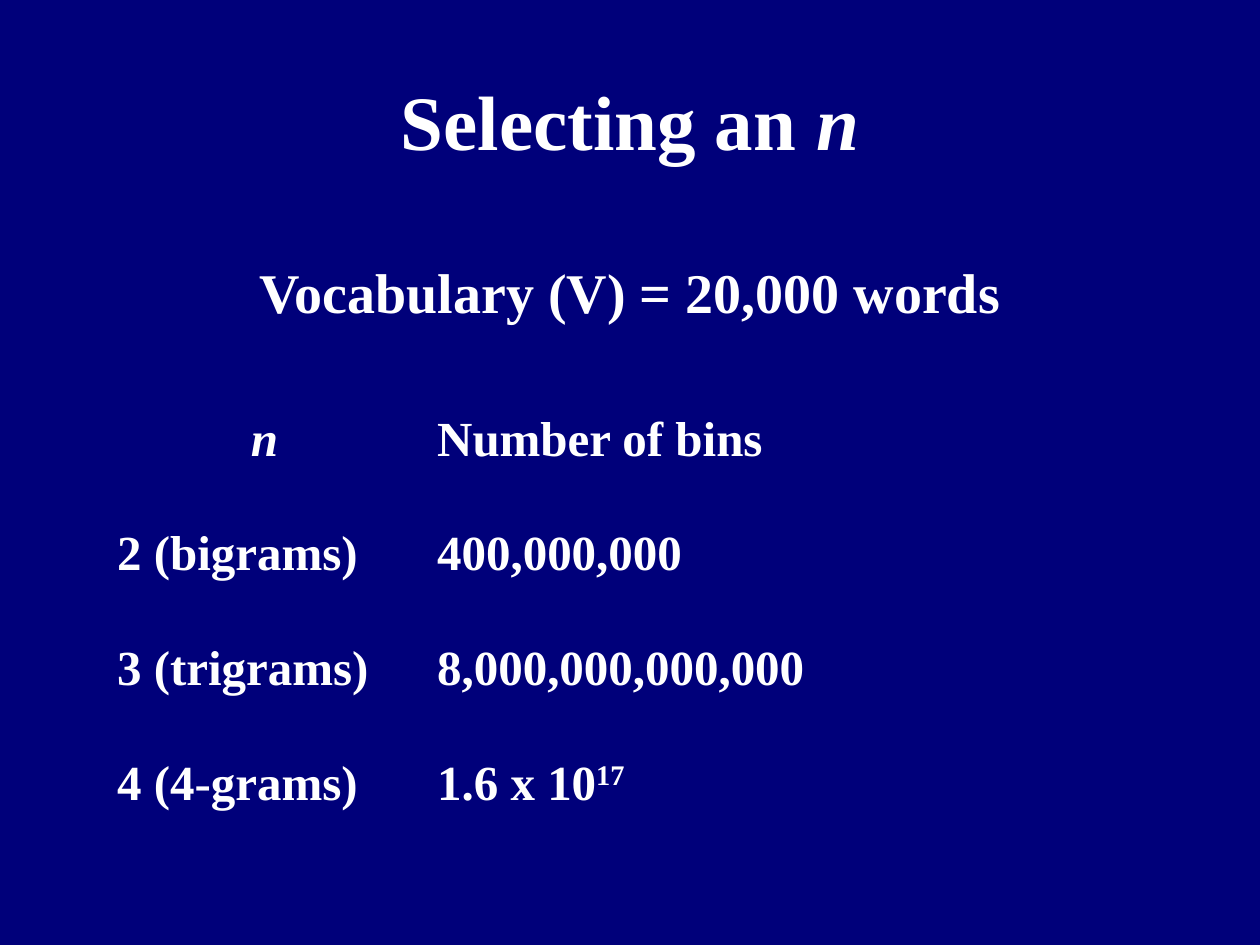
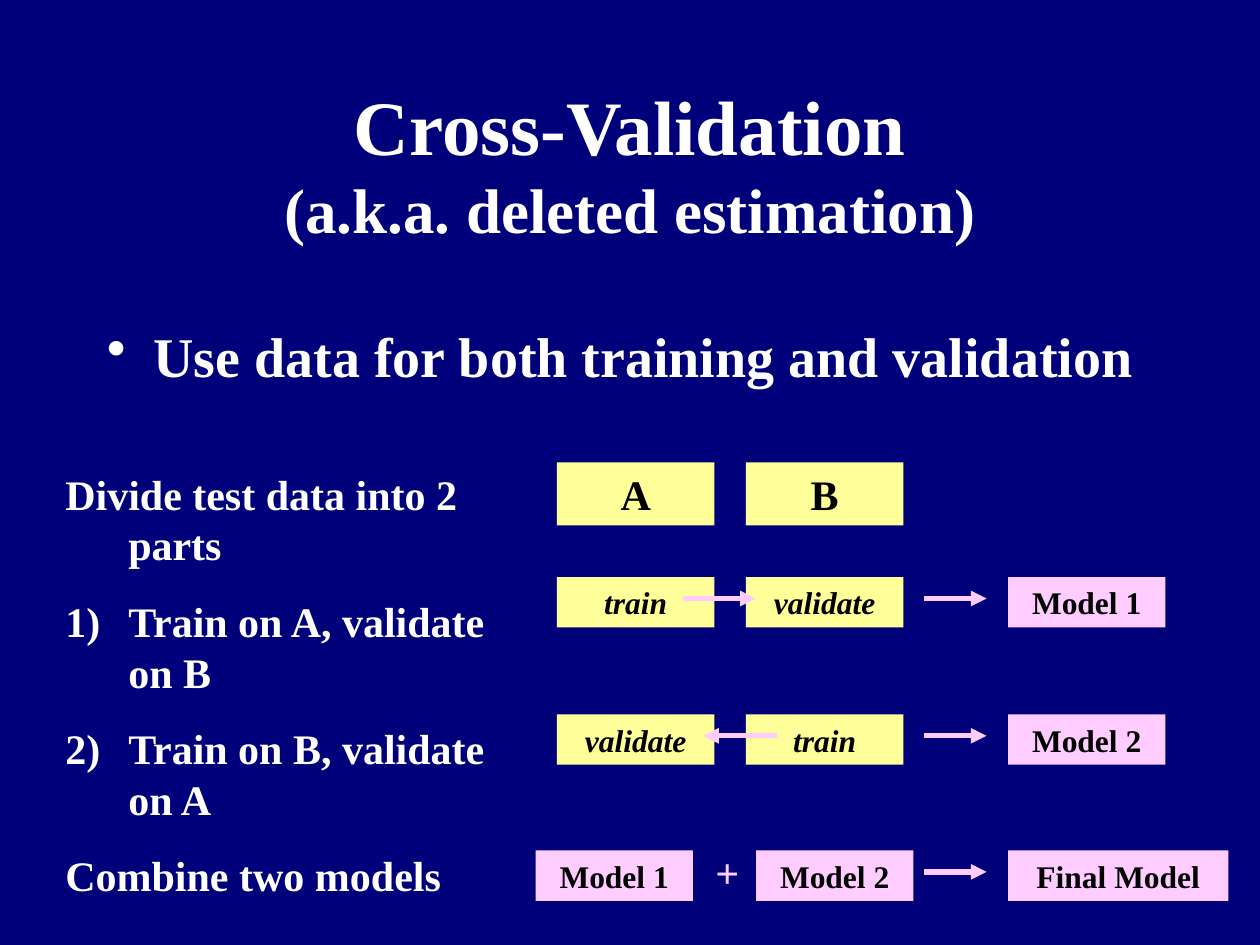
import pptx
import pptx.dml.color
import pptx.enum.shapes
import pptx.enum.text
import pptx.oxml
import pptx.oxml.ns
import pptx.util

Inches = pptx.util.Inches
Pt = pptx.util.Pt
CENTER = pptx.enum.text.PP_ALIGN.CENTER
MIDDLE = pptx.enum.text.MSO_ANCHOR.MIDDLE
RECTANGLE = pptx.enum.shapes.MSO_SHAPE.RECTANGLE
STRAIGHT = pptx.enum.shapes.MSO_CONNECTOR.STRAIGHT

theme = {
    "font": "Times New Roman",
    "navy": "00007A", "white": "FFFFFF", "black": "000000",
    "yellow": "FFFF99", "pink": "FFCCFF",
    "title": 44, "subtitle": 36, "lead": 32, "cell": 28, "text": 24, "label": 18,
}


def write_text(frame, paragraphs, size, color="white"):
    """Fill a frame; each paragraph is (spans, format), each span (text, format)."""
    frame.word_wrap = True
    for index, (spans, paragraph_format) in enumerate(paragraphs):
        para = frame.add_paragraph() if index else frame.paragraphs[0]
        for name, value in paragraph_format.items():
            setattr(para, name, value)
        for text, span_format in spans:
            span = para.add_run()
            span.text = text
            font_format = {"name": theme["font"], "size": Pt(theme[size]), "bold": True}
            for name, value in (font_format | span_format).items():
                setattr(span.font, name, value)
            span.font.color.rgb = pptx.dml.color.RGBColor.from_string(theme[color])


def hang_paragraph(para, indent, bullet=None):
    """Give a paragraph a hanging indent and, if wanted, a bullet element."""
    properties = para._p.get_or_add_pPr()
    properties.set("marL", str(Inches(indent)))
    properties.set("indent", str(-Inches(indent)))
    if bullet:
        namespace = pptx.oxml.ns.nsdecls("a")
        properties.append(pptx.oxml.parse_xml(
            f'<a:buClr {namespace}><a:srgbClr val="{theme["white"]}"/></a:buClr>'))
        properties.append(pptx.oxml.parse_xml(bullet.format(namespace)))


deck = pptx.Presentation()
deck.slide_width, deck.slide_height = Inches(10), Inches(7.5)

# Pages with their background and title
titles = [
    (0.53, 2.1, [
        ([("Selecting an ", {}), ("n", {"italic": True})], {"alignment": CENTER}),
        ([("Vocabulary (V) = 20,000 words", {"size": Pt(theme["lead"])})],
         {"alignment": CENTER, "space_before": Pt(52)}),
    ]),
    (0.57, 1.44, [
        ([("Cross-Validation", {})], {"alignment": CENTER}),
        ([("(a.k.a. deleted estimation)", {"size": Pt(theme["subtitle"])})],
         {"alignment": CENTER}),
    ]),
]
pages = []
for top, height, paragraphs in titles:
    page = deck.slides.add_slide(deck.slide_layouts[6])
    page.background.fill.solid()
    page.background.fill.fore_color.rgb = pptx.dml.color.RGBColor.from_string(theme["navy"])
    box = page.shapes.add_textbox(Inches(0.75), Inches(top), Inches(8.5), Inches(height))
    box.text_frame.vertical_anchor = MIDDLE
    write_text(box.text_frame, paragraphs, "title")
    pages.append(page)
bins_page, validation_page = pages

# Table of bins, without style or grid
bins = [
    ("n", "Number of bins"),
    ("2 (bigrams)", "400,000,000"),
    ("3 (trigrams)", "8,000,000,000,000"),
    ("4 (4-grams)", "1.6 x 10"),
]
table = bins_page.shapes.add_table(
    len(bins), 2, Inches(0.83), Inches(3.25), Inches(8.41), Inches(3.64)).table
table.first_row = table.horz_banding = False
style = table._tbl.tblPr.find(pptx.oxml.ns.qn("a:tableStyleId"))
style.text = "{2D5ABB26-0587-4C30-8999-92F81FD0307C}"
for column, width in zip(table.columns, (2.54, 5.87)):
    column.width = Inches(width)
for row, texts in enumerate(bins):
    for column, text in enumerate(texts):
        cell = table.cell(row, column)
        cell.fill.background()
        cell_format = {"line_spacing": 0.93, "space_before": Pt(7)}
        if text == "n":
            cell_format["alignment"] = CENTER
        write_text(cell.text_frame, [([(text, {"italic": text == "n"})], cell_format)], "cell")
exponent_cell = table.cell(3, 1)
exponent = exponent_cell.text_frame.paragraphs[0].add_run()
exponent.text = "17"
for name, value in {"name": theme["font"], "size": Pt(theme["cell"]), "bold": True}.items():
    setattr(exponent.font, name, value)
exponent.font.color.rgb = pptx.dml.color.RGBColor.from_string(theme["white"])
exponent.font._element.set("baseline", "30000")

# Lead bullet
box = validation_page.shapes.add_textbox(Inches(0.75), Inches(2.5), Inches(8.5), Inches(0.75))
write_text(box.text_frame, [
    ([("Use data for both training and validation", {})], {"space_before": Pt(8)})], "lead")
hang_paragraph(box.text_frame.paragraphs[0], 0.37, '<a:buChar {} char="•"/>')

# Steps on the left
number = '<a:buAutoNum {} type="arabicParenR"/>'
steps = [
    ("Divide test data into 2 parts", None),
    ("Train on A, validate on B", number),
    ("Train on B, validate on A", number),
    ("Combine two models", None),
]
box = validation_page.shapes.add_textbox(Inches(0.42), Inches(3.67), Inches(3.67), Inches(3.53))
write_text(box.text_frame, [
    ([(text, {})], {"space_before": Pt(15)}) for text, bullet in steps], "text")
for para, (text, bullet) in zip(box.text_frame.paragraphs, steps):
    hang_paragraph(para, 0.5, bullet)

# Data parts and models: text, left, top, width, height, fill, size, italic
part_lefts = (4.42, 5.92)
row_tops = (4.58, 5.67, 6.75)
blocks = [(text, left, 3.67, 1.25, 0.5, "yellow", "text", False)
          for text, left in zip("AB", part_lefts)]
for top, roles in zip(row_tops, (("train", "validate"), ("validate", "train"))):
    blocks += [(text, left, top, 1.25, 0.4, "yellow", "label", True)
               for text, left in zip(roles, part_lefts)]
blocks += [(text, left, top, width, 0.4, "pink", "label", False)
           for text, left, top, width in (
               ("Model 1", 8, row_tops[0], 1.25),
               ("Model 2", 8, row_tops[1], 1.25),
               ("Model 1", 4.25, row_tops[2], 1.25),
               ("Model 2", 6, row_tops[2], 1.25),
               ("Final Model", 8, row_tops[2], 1.75))]
for text, left, top, width, height, fill, size, italic in blocks:
    block = validation_page.shapes.add_shape(
        RECTANGLE, Inches(left), Inches(top), Inches(width), Inches(height))
    block.shadow.inherit = False
    block.fill.solid()
    block.fill.fore_color.rgb = pptx.dml.color.RGBColor.from_string(theme[fill])
    block.line.fill.background()
    block.text_frame.vertical_anchor = pptx.enum.text.MSO_ANCHOR.TOP
    write_text(block.text_frame, [([(text, {"italic": italic})], {"alignment": CENTER})],
               size, "black")

# Plus sign between the two models
box = validation_page.shapes.add_textbox(Inches(5.58), Inches(6.67), Inches(0.5), Inches(0.5))
write_text(box.text_frame, [([("+", {})], {})], "text", "pink")

# Arrows: start, end, height on the page
arrows = [(5.42, 6, 4.75), (6.17, 5.58, 5.84)]
arrows += [(7.33, 7.83, y) for y in (4.75, 5.84, 6.92)]
for start, end, y in arrows:
    arrow = validation_page.shapes.add_connector(
        STRAIGHT, Inches(start), Inches(y), Inches(end), Inches(y))
    arrow.line.width = Pt(3)
    arrow.line.color.rgb = pptx.dml.color.RGBColor.from_string(theme["pink"])
    namespace = pptx.oxml.ns.nsdecls("a")
    arrow.line._get_or_add_ln().append(
        pptx.oxml.parse_xml(f'<a:tailEnd {namespace} type="triangle"/>'))
    arrow._element.spPr.append(pptx.oxml.parse_xml(f"<a:effectLst {namespace}/>"))

deck.save("out.pptx")
